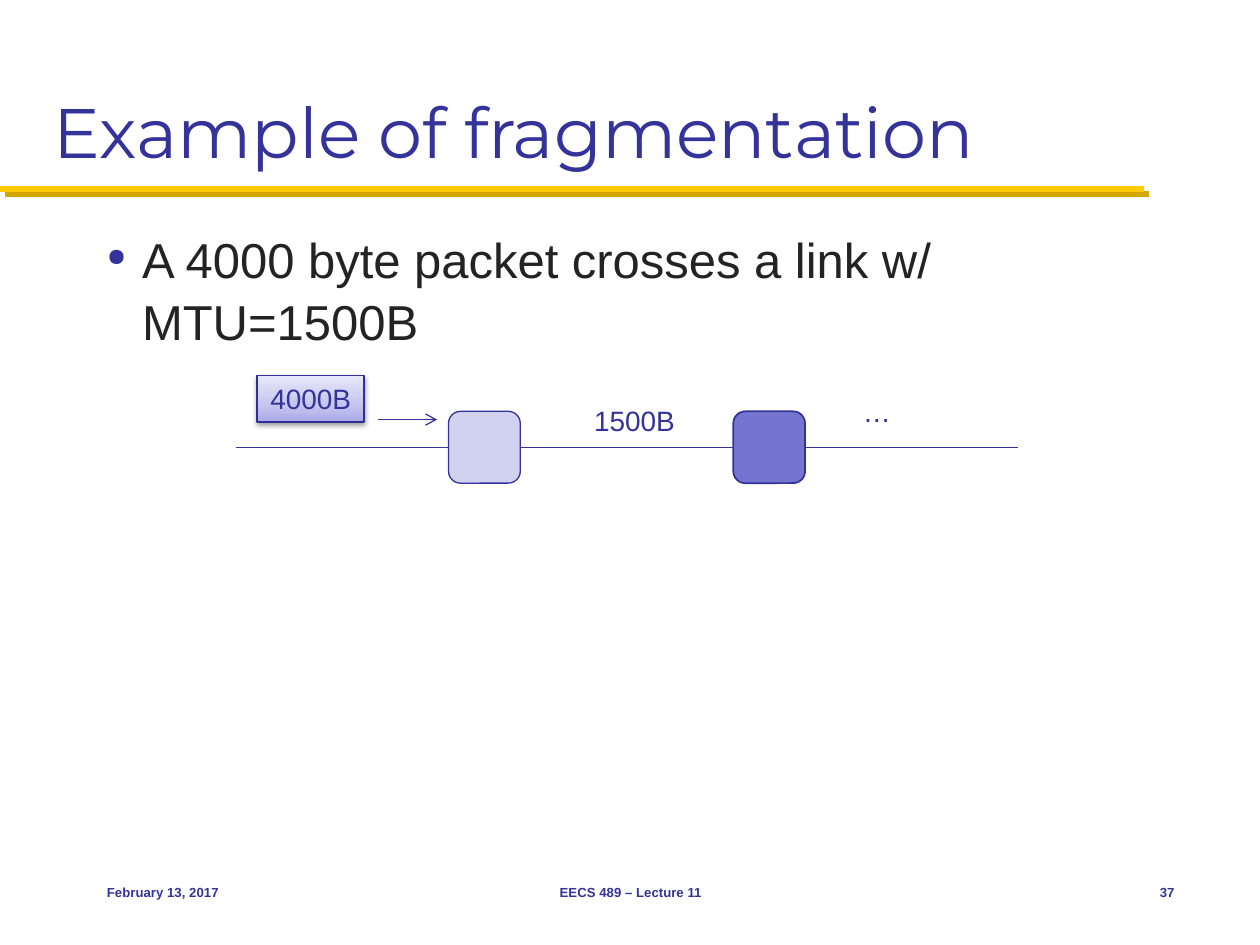
from dataclasses import dataclass

from lxml.etree import SubElement
from pptx import Presentation
from pptx.dml.color import RGBColor
from pptx.enum.shapes import MSO_CONNECTOR, MSO_SHAPE
from pptx.enum.text import MSO_ANCHOR, PP_ALIGN
from pptx.oxml import parse_xml
from pptx.oxml.ns import nsdecls, qn
from pptx.util import Inches, Pt


@dataclass(frozen=True)
class Theme:
    navy: str = "333399"
    body: str = "232323"
    gold: str = "FFCB05"
    gold_shadow: str = "D3A600"
    router_light: str = "D1D1F0"
    router_dark: str = "7575D1"
    packet_line: str = "2F2F98"
    packet_gradient: tuple = ((0, "A9A9E9"), (35, "C4C4EF"), (100, "E8E8FA"))
    heading_font: str = "Montserrat"
    text_font: str = "Arial"
    title_size: float = 40
    body_size: float = 28
    label_size: float = 16
    footer_size: float = 7.5


THEME = Theme()


def box_inches(*lengths):
    return [Inches(length) for length in lengths]


def write(shape, text, size, font=THEME.text_font, color=THEME.navy, bold=False,
          align=PP_ALIGN.LEFT, anchor=MSO_ANCHOR.TOP, wrap=True):
    frame = shape.text_frame
    frame.word_wrap = wrap
    frame.vertical_anchor = anchor
    paragraph = frame.paragraphs[0]
    paragraph.alignment = align
    run = paragraph.add_run()
    run.text = text
    for name, value in {"name": font, "size": Pt(size), "bold": bold}.items():
        setattr(run.font, name, value)
    run.font.color.rgb = RGBColor.from_string(color)
    return paragraph


def set_line(shape, color, width):
    shape.line.color.rgb = RGBColor.from_string(color)
    shape.line.width = Pt(width)


def set_shadow(shape, color=None, alpha=100, blur=0, distance=0, angle=0):
    """Replace the inherited shadow with the given one, or with none."""
    properties = shape._element.spPr
    for old in properties.findall(qn("a:effectLst")):
        properties.remove(old)
    effects = SubElement(properties, qn("a:effectLst"))
    if color:
        effects.append(parse_xml(
            f'<a:outerShdw {nsdecls("a")} blurRad="{Pt(blur)}" dist="{Pt(distance)}" '
            f'dir="{angle * 60000}" algn="tl" rotWithShape="0"><a:srgbClr val="{color}">'
            f'<a:alpha val="{alpha * 1000}"/></a:srgbClr></a:outerShdw>'))


def set_gradient(shape, stops, angle):
    shape.fill.background()
    stop_xml = "".join(f'<a:gs pos="{position * 1000}"><a:srgbClr val="{color}"/></a:gs>'
                       for position, color in stops)
    old = shape._element.spPr.find(qn("a:noFill"))
    old.getparent().replace(old, parse_xml(
        f'<a:gradFill {nsdecls("a")} rotWithShape="1"><a:gsLst>{stop_xml}</a:gsLst>'
        f'<a:lin ang="{angle * 60000}" scaled="0"/></a:gradFill>'))


def add_rule(shapes, left, right, y, color=THEME.navy, width=0.75, arrow=False):
    """Draw a horizontal line, with an arrowhead at its right end if asked."""
    rule = shapes.add_connector(MSO_CONNECTOR.STRAIGHT, *box_inches(left, y, right, y))
    set_line(rule, color, width)
    set_shadow(rule)
    if arrow:
        SubElement(rule.line._get_or_add_ln(), qn("a:tailEnd"), type="arrow")
    return rule


def add_heading(slide, left, top, width, height):
    rule = add_rule(slide.shapes, 0, 9.08, top + height + 0.08, THEME.gold, 3.5)
    set_shadow(rule, THEME.gold_shadow, distance=4.2, angle=45)
    title = slide.shapes.add_textbox(*box_inches(left, top, width, height))
    write(title, "Example of fragmentation", THEME.title_size,
          font=THEME.heading_font, anchor=MSO_ANCHOR.BOTTOM)


def add_body(slide, left, top, width, height):
    body = slide.shapes.add_textbox(*box_inches(left, top, width, height))
    paragraph = write(body, "A 4000 byte packet crosses a link w/ MTU=1500B",
                      THEME.body_size, color=THEME.body)
    paragraph.line_spacing = 1.05
    properties = paragraph._p.get_or_add_pPr()
    properties.set("marL", str(Inches(0.28)))
    properties.set("indent", str(Inches(-0.28)))
    bullet_color = SubElement(properties, qn("a:buClr"))
    SubElement(bullet_color, qn("a:srgbClr"), val=THEME.navy)
    SubElement(properties, qn("a:buSzPct"), val="50000")
    SubElement(properties, qn("a:buChar"), char="●")


def add_network(slide, left, top):
    """Draw links and routers in a row, with packet sizes above the links."""
    shapes = slide.shapes.add_group_shape().shapes
    node, link = 0.57, 1.69
    pitch = node + link
    middle = top + 0.57

    for index, (color, width) in enumerate(((THEME.router_light, 0.75),
                                            (THEME.router_dark, 1))):
        router = shapes.add_shape(
            MSO_SHAPE.ROUNDED_RECTANGLE,
            *box_inches(left + link + index * pitch, middle - node / 2, node, node))
        router.fill.solid()
        router.fill.fore_color.rgb = RGBColor.from_string(color)
        set_line(router, THEME.navy, width)
        set_shadow(router)

    for index in range(3):
        start = left + index * pitch
        add_rule(shapes, start, start + link, middle)

    packet = shapes.add_shape(MSO_SHAPE.RECTANGLE,
                              *box_inches(left + 0.17, top, 0.85, 0.37))
    set_gradient(packet, THEME.packet_gradient, 270)
    set_line(packet, THEME.packet_line, 0.75)
    set_shadow(packet, "000000", alpha=38, blur=3.1, distance=1.6, angle=90)
    write(packet, "4000B", THEME.label_size, align=PP_ALIGN.CENTER, wrap=False)
    add_rule(shapes, left + 1.13, left + 1.6, top + 0.35, arrow=True)

    for text, x, y, width, align in (("1500B", 2.74, 0.17, 0.85, PP_ALIGN.CENTER),
                                     ("…", 4.88, 0.1, 0.43, PP_ALIGN.LEFT)):
        label = shapes.add_textbox(*box_inches(left + x, top + y, width, 0.37))
        write(label, text, THEME.label_size, align=align, wrap=False)


def add_footer(slide, left, top, width, height):
    date_width, course_width, number_width = 2.08, 3.17, 0.67
    for text, x, part_width, align in (
            ("February 13, 2017", 0, date_width, PP_ALIGN.LEFT),
            ("EECS 489 – Lecture 11", 2.67, course_width, PP_ALIGN.CENTER),
            ("37", width - number_width, number_width, PP_ALIGN.RIGHT)):
        part = slide.shapes.add_textbox(*box_inches(left + x, top, part_width, height))
        write(part, text, THEME.footer_size, bold=True, align=align,
              anchor=MSO_ANCHOR.MIDDLE)


def main():
    presentation = Presentation()
    presentation.slide_width, presentation.slide_height = box_inches(10, 7.5)
    slide = presentation.slides.add_slide(presentation.slide_layouts[6])
    add_heading(slide, 0.33, 0.17, 9.33, 1.25)
    add_body(slide, 0.75, 1.75, 8.67, 4.83)
    add_network(slide, 1.87, 2.98)
    add_footer(slide, 0.75, 6.83, 8.67, 0.5)
    presentation.save("out.pptx")


if __name__ == "__main__":
    main()
